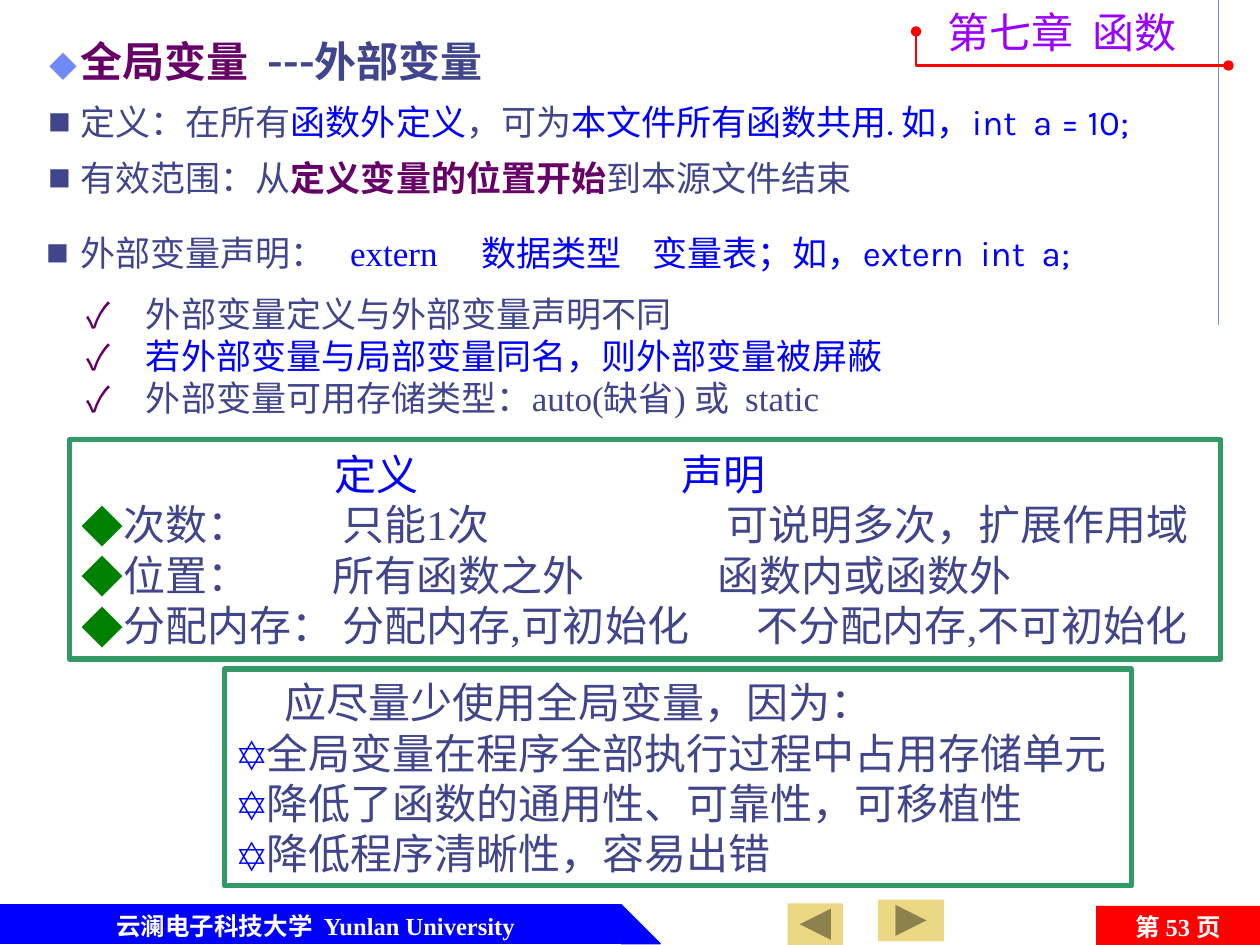
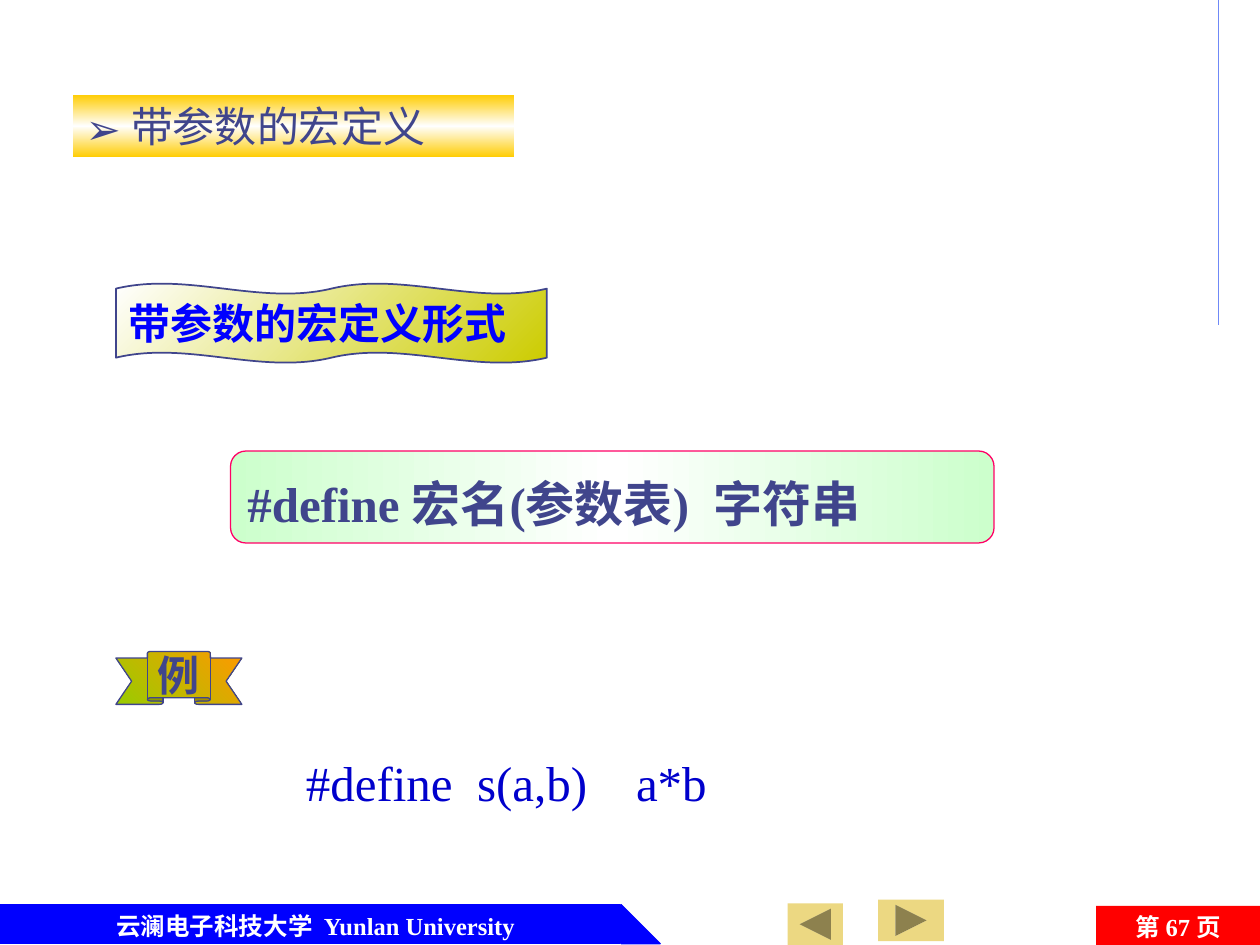
from lxml.etree import SubElement as Sub
from pptx import Presentation
from pptx.dml.color import RGBColor as RGB
from pptx.enum.shapes import MSO_SHAPE as Kind
from pptx.enum.text import MSO_ANCHOR as Anchor, MSO_AUTO_SIZE as Auto, PP_ALIGN as Align
from pptx.oxml.ns import qn
from pptx.util import Inches, Pt

HUE = {
    "ink": "40458C", "blue": "0000FF", "navy": "0000CC", "plum": "660066",
    "sky": "6F89F7", "white": "FFFFFF", "red": "FF0000", "violet": "9900FF",
    "sand": "ECD882", "frame": "339966", "green": "008000", "gold": "FFCC00",
    "olive": "CCCC00", "mint": "CCFFCC", "pink": "FF0066", "lime": "99CC00",
    "orange": "FF9900",
}
ROMAN, KARLA, HAN = "Times New Roman", "Karla", "Noto Sans CJK SC"


def dress(item, fill=None, line=None, width=0.75, angle=0):
    item.shadow.inherit = False
    if isinstance(fill, tuple):
        item.fill.gradient()
        item.fill.gradient_angle = angle
        stops = item._element.spPr.find(qn("a:gradFill")).find(qn("a:gsLst"))
        for old in list(stops):
            stops.remove(old)
        for i, name in enumerate(fill):
            stop = Sub(stops, qn("a:gs"), pos=str(100000 * i // (len(fill) - 1)))
            Sub(stop, qn("a:srgbClr"), val=HUE[name])
    elif fill:
        item.fill.solid()
        item.fill.fore_color.rgb = RGB.from_string(HUE[fill])
    else:
        item.fill.background()
    if line:
        item.line.color.rgb = RGB.from_string(HUE[line])
        item.line.width = Pt(width)
    else:
        item.line.fill.background()
    return item


def write(item, *runs, size=24, color="ink", bold=False, font=ROMAN, align=Align.LEFT,
          anchor=Anchor.TOP, mark=None, tint=None, scale=100, left=0, hang=0, tabs=(), before=0):
    frame = item.text_frame
    frame.word_wrap = True
    frame.auto_size = Auto.NONE
    frame.vertical_anchor = anchor
    para = frame.paragraphs[-1]
    if para.runs:
        para = frame.add_paragraph()
    props = para._p.get_or_add_pPr()
    if left:
        props.set("marL", str(Inches(left)))
    if hang:
        props.set("indent", str(-Inches(hang)))
    if mark:
        if tint:
            Sub(Sub(props, qn("a:buClr")), qn("a:srgbClr"), val=HUE[tint])
        Sub(props, qn("a:buSzPct"), val=str(scale * 1000))
        Sub(props, qn("a:buFont"), typeface=HAN)
        Sub(props, qn("a:buChar"), char=mark)
    if tabs:
        stops = Sub(props, qn("a:tabLst"))
        for tab in tabs:
            Sub(stops, qn("a:tab"), pos=str(Inches(tab)), algn="l")
    para.alignment = align
    para.line_spacing = Pt(size * 1.2)
    para.space_before = Pt(before)
    for part in runs:
        text, look = (part, {}) if isinstance(part, str) else part
        run = para.add_run()
        run.text = text
        run.font.size = Pt(size)
        run.font.bold = look.get("bold", bold)
        run.font.name = look.get("font", font)
        run.font.color.rgb = RGB.from_string(HUE[look.get("color", color)])
        Sub(run._r.get_or_add_rPr(), qn("a:ea"), typeface=HAN)


deck = Presentation()
deck.slide_width, deck.slide_height = Inches(10), Inches(7.5)

pages = []
for num in (53, 67):
    page = deck.slides.add_slide(deck.slide_layouts[5])
    pages.append(page)
    rule = page.shapes.add_connector(1, Inches(9.67), 0, Inches(9.67), Inches(2.58))
    rule.line.color.rgb = RGB.from_string(HUE["sky"])
    rule.line.width = Pt(0.75)
    Sub(rule._element.spPr, qn("a:effectLst"))

    for kind, spot, fill, line, turn in (
        (Kind.RECTANGLE, (0, 7.18, 4.92, 0.31), "blue", "blue", 0),
        (Kind.RIGHT_TRIANGLE, (4.93, 7.18, 0.31, 0.31), "blue", "blue", 0),
        (Kind.ACTION_BUTTON_FORWARD_OR_NEXT, (6.97, 7.14, 0.52, 0.33), "sand", None, 0),
        (Kind.ACTION_BUTTON_FORWARD_OR_NEXT, (6.25, 7.17, 0.44, 0.33), "sand", None, 180),
    ):
        item = dress(page.shapes.add_shape(kind, *map(Inches, spot)), fill, line)
        item.rotation = turn

    foot = page.shapes.add_textbox(*map(Inches, (0.29, 7.18, 4.43, 0.31)))
    write(foot, "云澜电子科技大学  Yunlan University",
          size=14, color="white", bold=True, align=Align.CENTER)
    tag = page.shapes.add_shape(Kind.RECTANGLE, *map(Inches, (8.7, 7.19, 1.3, 0.33)))
    write(dress(tag, "red"), ("第 ", {"font": HAN}), f"{num} ", ("页", {"font": HAN}),
          size=14, color="white", bold=True, align=Align.CENTER)

scope, macro = pages
blue, plum = {"color": "blue"}, {"color": "plum", "bold": True}

head = scope.shapes.title
head.left, head.top, head.width, head.height = map(Inches, (0.29, 0.23, 6.8, 0.5))
write(head, ("全局变量  ", plum), "---外部变量", bold=True, font=KARLA,
      mark="⬥", tint="sky", scale=95, left=0.25, hang=0.25)

name = scope.shapes.add_textbox(*map(Inches, (7.42, 0, 2.2, 0.5)))
write(name, "第七章  函数", color="violet", font=HAN)
bend = scope.shapes.build_freeform(727, 25, scale=Inches(0.01))
bend.add_line_segments([(727, 52), (975, 52)], close=False)
hook = dress(bend.convert_to_shape(), None, "red", 1.5)
for end in ("a:headEnd", "a:tailEnd"):
    Sub(hook.line._get_or_add_ln(), qn(end), type="oval")

body = scope.shapes.add_textbox(*map(Inches, (0.29, 0.75, 9.35, 0.95)))
for gap, runs in (
    (0, ("定义：在所有", ("函数外定义", blue), "，可为",
         ("本文件所有函数共用. 如，int  a = 10;", blue))),
    (8, ("有效范围：从", ("定义变量的位置开始", plum), "到本源文件结束")),
):
    write(body, *runs, size=20, font=KARLA, mark="■", scale=65,
          left=0.25, hang=0.25, before=gap)

decl = scope.shapes.add_textbox(*map(Inches, (0.27, 1.79, 8.98, 0.4)))
write(decl, "\t外部变量声明：", ("\textern\t数据类型\t变量表；如，", blue),
      ("extern  int  a;", {"color": "blue", "font": KARLA}),
      size=20, mark="■", scale=65, tabs=(0.27, 2.41, 3.45, 4.81))

notes = scope.shapes.add_textbox(*map(Inches, (0.59, 2.27, 8.98, 1.1)))
for text, color in (
    ("外部变量定义与外部变量声明不同", "ink"),
    ("若外部变量与局部变量同名，则外部变量被屏蔽", "blue"),
    ("外部变量可用存储类型：auto(缺省) 或  static", "ink"),
):
    write(notes, text, size=20, color=color, mark="✓", tint="plum", left=0.47, hang=0.47)

why = scope.shapes.add_shape(Kind.RECTANGLE, *map(Inches, (1.78, 5.31, 7.2, 1.72)))
dress(why, "white", "frame", 3)
write(why, "应尽量少使用全局变量，因为：", anchor=Anchor.MIDDLE, left=0.38)
for text in ("全局变量在程序全部执行过程中占用存储单元",
             "降低了函数的通用性、可靠性，可移植性",
             "降低程序清晰性，容易出错"):
    write(why, text, anchor=Anchor.MIDDLE, mark="✡", tint="blue")

grid = scope.shapes.add_shape(Kind.RECTANGLE, *map(Inches, (0.55, 3.49, 9.14, 1.74)))
dress(grid, "white", "frame", 3)
grid.text_frame.margin_right = Inches(0.02)
for cells, tabs in (
    (("", "定义", "声明"), (2.01, 4.76)),
    (("次数：", "只能1次", "可说明多次，扩展作用域"), (2.07, 5.12)),
    (("位置：", "所有函数之外", "函数内或函数外"), (1.99, 5.05)),
    (("分配内存：", "分配内存,可初始化", "不分配内存,不可初始化"), (2.07, 5.36)),
):
    write(grid, "\t".join(cells), color="ink" if cells[0] else "blue", tabs=tabs,
          anchor=Anchor.MIDDLE, mark="◆" if cells[0] else None, tint="green")

head = macro.shapes.title
head.left, head.top, head.width, head.height = map(Inches, (0.58, 0.75, 3.5, 0.5))
dress(head, ("gold", "white", "gold"), angle=270)
write(head, "带参数的宏定义", font=KARLA, anchor=Anchor.MIDDLE, mark="➢", left=0.36, hang=0.36)

wave = macro.shapes.add_shape(Kind.DOUBLE_WAVE, *map(Inches, (0.92, 2.25, 3.42, 0.63)))
wave.adjustments[0] = 0.065
dress(wave, ("white", "olive"), "ink", 1, angle=315)
write(wave, "带参数的宏定义形式", color="blue", bold=True, font=KARLA, anchor=Anchor.MIDDLE)

form = macro.shapes.add_shape(Kind.ROUNDED_RECTANGLE, *map(Inches, (1.83, 3.58, 6.06, 0.73)))
dress(form, ("mint", "white", "mint"), "pink")
write(form, "#define 宏名(参数表)  字符串", size=28, bold=True, anchor=Anchor.BOTTOM)

sign = macro.shapes.add_shape(Kind.UP_RIBBON, *map(Inches, (0.92, 5.17, 1, 0.42)))
sign.adjustments[0], sign.adjustments[1] = 0.125, 0.5
dress(sign, ("lime", "orange"), "ink", angle=45)
box = sign.text_frame
box.margin_left = box.margin_right = box.margin_top = box.margin_bottom = 0
write(sign, "例", bold=True, font=KARLA, align=Align.CENTER, anchor=Anchor.MIDDLE)

code = macro.shapes.add_textbox(*map(Inches, (2.33, 5.92, 4, 0.57)))
write(code, "#define  s(a,b)    a*b", size=28, color="navy")

deck.save("out.pptx")
